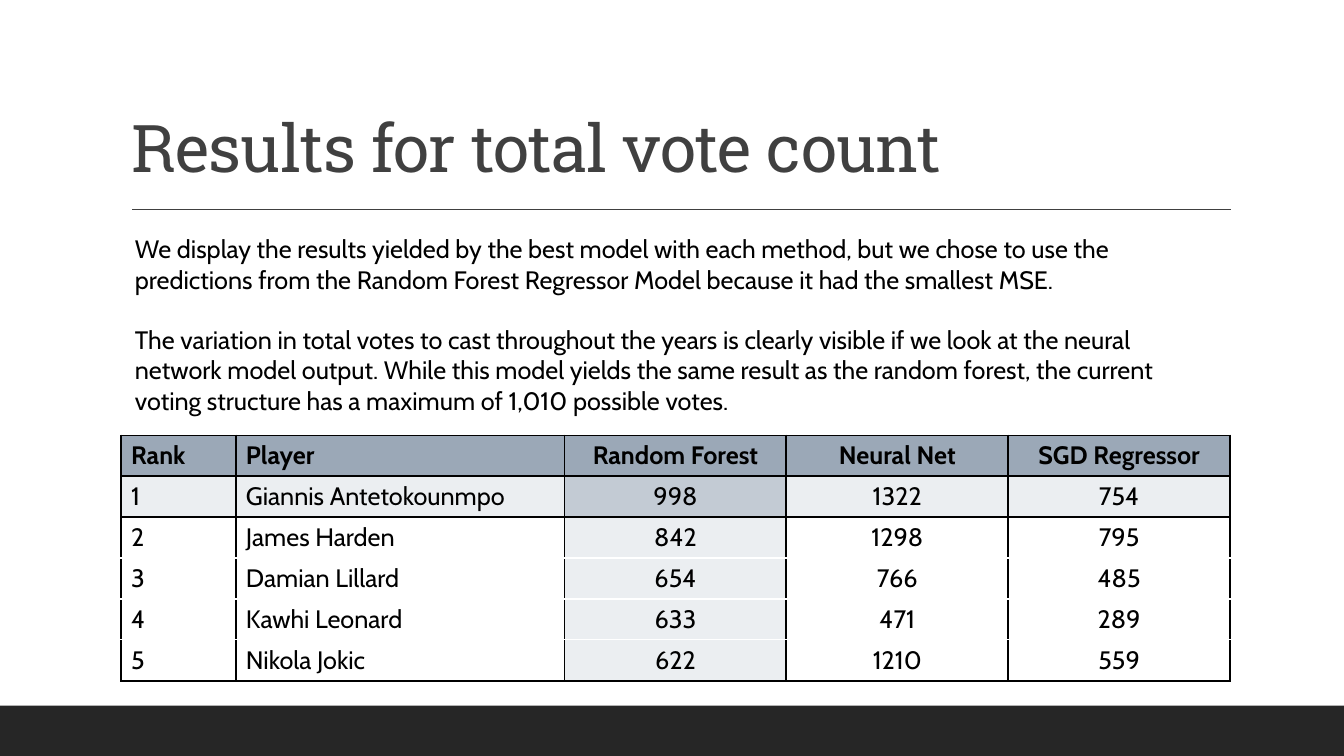
import pptx
import pptx.dml.color
import pptx.enum.shapes
import pptx.enum.text
import pptx.oxml.ns
import pptx.util
import lxml.etree

Inches = pptx.util.Inches
Pt = pptx.util.Pt
RGBColor = pptx.dml.color.RGBColor
ALIGN = pptx.enum.text.PP_ALIGN

BLACK = RGBColor(0x00, 0x00, 0x00)
WHITE = RGBColor(0xFF, 0xFF, 0xFF)
CHARCOAL = RGBColor(0x26, 0x26, 0x26)
GREY = RGBColor(0x40, 0x40, 0x40)
HEADER_BLUE = RGBColor(0x9B, 0xA8, 0xB7)
WINNER_BLUE = RGBColor(0xC3, 0xCB, 0xD4)
PALE_BLUE = RGBColor(0xEB, 0xEE, 0xF1)

TITLE_FONT = "Roboto Slab"
BODY_FONT = "Cabin"

PARAGRAPHS = [
    "We display the results yielded by the best model with each method, but we chose to use "
    "the predictions from the Random Forest Regressor Model because it had the smallest MSE.",
    "The variation in total votes to cast throughout the years is clearly visible if we look "
    "at the neural network model output. While this model yields the same result as the random "
    "forest, the current voting structure has a maximum of 1,010 possible votes.",
]
VOTES = [
    ("Rank", "Player", "Random Forest", "Neural Net", "SGD Regressor"),
    ("1", "Giannis Antetokounmpo", "998", "1322", "754"),
    ("2", "James Harden", "842", "1298", "795"),
    ("3", "Damian Lillard", "654", "766", "485"),
    ("4", "Kawhi Leonard", "633", "471", "289"),
    ("5", "Nikola Jokic", "622", "1210", "559"),
]
COLUMN_SHARES = (1.14, 3.26, 2.2, 2.2, 2.2)
CHOSEN_COLUMN = 2


def add_child(parent, tag, **attributes):
    return lxml.etree.SubElement(parent, pptx.oxml.ns.qn(tag), attributes)


def format_text(para, font_name, size, color, bold=False):
    for run in para.runs:
        run.font.name = font_name
        run.font.size = Pt(size)
        run.font.color.rgb = color
        run.font.bold = bold


def add_footer_band(page, left, top, width, height):
    band = page.shapes.add_shape(
        pptx.enum.shapes.MSO_SHAPE.RECTANGLE,
        Inches(left), Inches(top), Inches(width), Inches(height))
    band.shadow.inherit = False
    band.fill.solid()
    band.fill.fore_color.rgb = CHARCOAL
    band.line.fill.background()


def add_title(page, left, top, width, height):
    """Fill the title placeholder and draw the rule below it."""
    title = page.shapes.title
    title.left, title.top = Inches(left), Inches(top)
    title.width, title.height = Inches(width), Inches(height)
    frame = title.text_frame
    frame.text = "Results for total vote count"
    frame.word_wrap = True
    frame.auto_size = pptx.enum.text.MSO_AUTO_SIZE.NONE
    frame.vertical_anchor = pptx.enum.text.MSO_ANCHOR.BOTTOM
    para = frame.paragraphs[0]
    para.alignment = ALIGN.LEFT
    para.line_spacing = 0.9
    format_text(para, TITLE_FONT, 47, GREY)
    para.runs[0].font._element.set("spc", "-50")

    rule_top = Inches(top + height + 0.18)
    rule = page.shapes.add_connector(
        pptx.enum.shapes.MSO_CONNECTOR.STRAIGHT,
        Inches(left + 0.11), rule_top, Inches(left + width + 0.01), rule_top)
    rule.line.color.rgb = GREY
    rule.line.width = Pt(1)
    add_child(rule._element.spPr, "a:effectLst")


def add_explanation(page, left, top, width, height):
    box = page.shapes.add_textbox(Inches(left), Inches(top), Inches(width), Inches(height))
    frame = box.text_frame
    frame.word_wrap = True
    for index, text in enumerate(PARAGRAPHS):
        para = frame.add_paragraph() if index else frame.paragraphs[0]
        para.text = text
        if index:
            para.space_before = Pt(21.5)
        format_text(para, BODY_FONT, 18, BLACK)


def set_borders(cell, row):
    """Black columns and frame, with white rules between the lower rows."""
    last = len(VOTES) - 1
    strong_top, strong_bottom = row <= 2, row <= 1 or row == last
    properties = cell._tc.get_or_add_tcPr()
    sides = (("a:lnL", True), ("a:lnR", True), ("a:lnT", strong_top), ("a:lnB", strong_bottom))
    for tag, strong in sides:
        line = add_child(properties, tag, w=str(Pt(1.5 if strong else 1)))
        fill = add_child(line, "a:solidFill")
        add_child(fill, "a:srgbClr", val=str(BLACK if strong else WHITE))


def cell_color(row, column):
    if row == 0:
        return HEADER_BLUE
    if row == 1 and column == CHOSEN_COLUMN:
        return WINNER_BLUE
    if row == 1 or column == CHOSEN_COLUMN:
        return PALE_BLUE
    return None


def fill_cell(cell, row, column, text):
    set_borders(cell, row)
    color = cell_color(row, column)
    if color is None:
        cell.fill.background()
    else:
        cell.fill.solid()
        cell.fill.fore_color.rgb = color
    para = cell.text_frame.paragraphs[0]
    para.text = text
    para.alignment = ALIGN.CENTER if column >= CHOSEN_COLUMN else ALIGN.LEFT
    format_text(para, BODY_FONT, 18, BLACK, bold=row == 0)


def add_vote_table(page, left, top, width, height):
    table = page.shapes.add_table(
        len(VOTES), len(COLUMN_SHARES),
        Inches(left), Inches(top), Inches(width), Inches(height)).table
    for column, share in zip(table.columns, COLUMN_SHARES):
        column.width = Inches(width * share / sum(COLUMN_SHARES))
    for row, texts in enumerate(VOTES):
        for column, text in enumerate(texts):
            fill_cell(table.cell(row, column), row, column, text)


def main():
    deck = pptx.Presentation()
    deck.slide_width, deck.slide_height = Inches(13.33), Inches(7.5)
    page = deck.slides.add_slide(deck.slide_layouts[5])
    page.background.fill.solid()
    page.background.fill.fore_color.rgb = WHITE
    add_footer_band(page, 0, 7, 13.33, 0.5)
    add_title(page, 1.2, 0.31, 11, 1.59)
    add_vote_table(page, 1.2, 4.32, 11, 2.43)
    add_explanation(page, 1.24, 2.27, 10.96, 1.92)
    deck.save("out.pptx")


if __name__ == "__main__":
    main()
